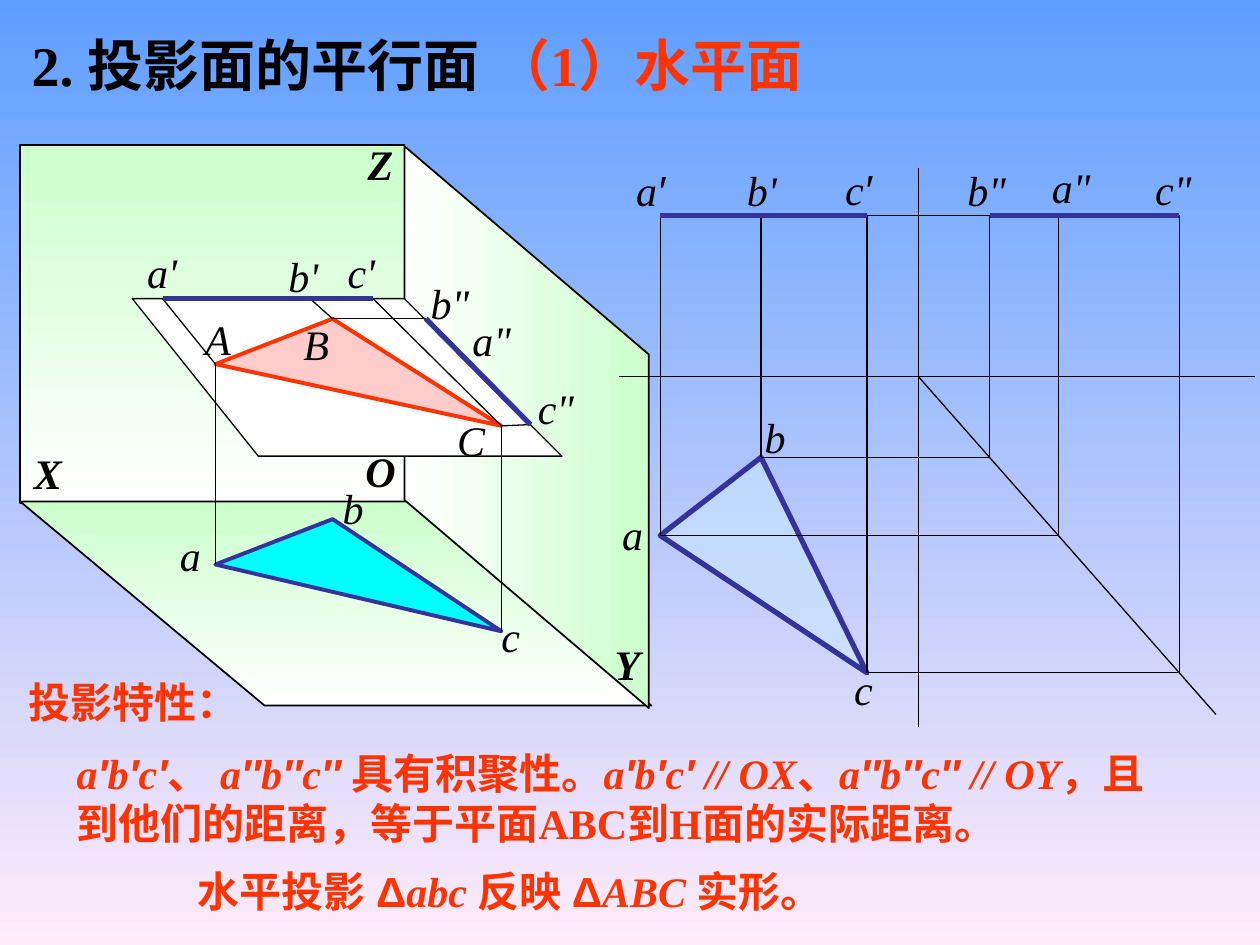
from itertools import groupby

from lxml import etree
from pptx import Presentation
from pptx.dml.color import RGBColor
from pptx.enum.shapes import MSO_CONNECTOR, MSO_SHAPE
from pptx.enum.text import MSO_ANCHOR, MSO_AUTO_SIZE, PP_ALIGN
from pptx.oxml.ns import qn
from pptx.util import Inches, Pt

STRAIGHT = MSO_CONNECTOR.STRAIGHT
RECTANGLE = MSO_SHAPE.RECTANGLE
PARALLELOGRAM = MSO_SHAPE.PARALLELOGRAM
MIDDLE, TOP = MSO_ANCHOR.MIDDLE, MSO_ANCHOR.TOP
NO_FIT, GROW = MSO_AUTO_SIZE.NONE, MSO_AUTO_SIZE.SHAPE_TO_FIT_TEXT
LEFT, CENTER = PP_ALIGN.LEFT, PP_ALIGN.CENTER

COLORS = {"black": "000000", "white": "FFFFFF", "red": "FF3300", "navy": "333399",
          "green": "CCFFCC", "pink": "FFCCCC", "cyan": "00FFFF", "pale": "CCECFF",
          "sky": "5E9EFF", "blush": "FFEBFA"}


def rgb(name):
    return RGBColor.from_string(COLORS[name])


def font_for(character):
    if character in "′″Δ":
        return "Arial"
    return "Noto Sans CJK SC" if ord(character) > 0x2E7F else "Times New Roman"


def add_text(paragraph, text, size=24, color="black", bold=False, italic=False):
    for name, characters in groupby(text, font_for):
        run = paragraph.add_run()
        run.text = "".join(characters)
        font = run.font
        font.name, font.size, font.bold, font.italic = name, Pt(size), bold, italic
        font.color.rgb = rgb(color)
        east_asian = etree.SubElement(font._element, qn("a:ea"))
        east_asian.set("typeface", name)


def add_text_box(shapes, left, top, width, height=0.5, align=LEFT):
    box = shapes.add_textbox(Inches(left), Inches(top), Inches(width), Inches(height))
    frame = box.text_frame
    frame.word_wrap, frame.auto_size, frame.vertical_anchor = True, GROW, TOP
    frame.paragraphs[0].alignment = align
    return frame.paragraphs[0]


def add_labels(shapes, left, top, labels, bold=False, align=LEFT):
    for text, x, y, width in labels:
        paragraph = add_text_box(shapes, left + x, top + y, width, align=align)
        add_text(paragraph, text, bold=bold, italic=True)


def set_gradient(fill, start, end, angle):
    fill.gradient()
    fill.gradient_angle = angle
    for stop, color in zip(fill.gradient_stops, (start, end)):
        stop.color.rgb = rgb(color)


def set_outline(shape, color, width):
    shape.line.color.rgb = rgb(color)
    shape.line.width = Pt(width)


def add_wall(shapes, kind, left, top, width, height, angle):
    wall = shapes.add_shape(kind, Inches(left), Inches(top), Inches(width), Inches(height))
    wall.shadow.inherit = False
    set_gradient(wall.fill, "green", "white", angle)
    set_outline(wall, "black", 1)
    return wall


def add_polygon(shapes, left, top, points, fill, line, width):
    corners = [(Inches(left + x), Inches(top + y)) for x, y in points]
    builder = shapes.build_freeform(*corners[0], scale=1.0)
    builder.add_line_segments(corners[1:], close=True)
    polygon = builder.convert_to_shape()
    polygon.shadow.inherit = False
    polygon.fill.solid()
    polygon.fill.fore_color.rgb = rgb(fill)
    set_outline(polygon, line, width)
    return polygon


def add_lines(shapes, left, top, segments, color="black", width=0.75):
    for (x1, y1), (x2, y2) in segments:
        line = shapes.add_connector(STRAIGHT, Inches(left + x1), Inches(top + y1),
                                    Inches(left + x2), Inches(top + y2))
        set_outline(line, color, width)
        etree.SubElement(line._element.spPr, qn("a:effectLst"))


def add_title(slide, left, top, width, height):
    title = slide.shapes.title
    title.left, title.top = Inches(left), Inches(top)
    title.width, title.height = Inches(width), Inches(height)
    frame = title.text_frame
    frame.word_wrap, frame.auto_size, frame.vertical_anchor = True, NO_FIT, MIDDLE
    paragraph = frame.paragraphs[0]
    paragraph.alignment = LEFT
    add_text(paragraph, "2. 投影面的平行面 ", 32, bold=True)
    add_text(paragraph, "（1）水平面", 32, "red", bold=True)


def add_projection_planes(slide, left, top):
    shapes = slide.shapes.add_group_shape().shapes
    add_wall(shapes, RECTANGLE, left, top, 3.05, 2.84, 270)
    floor = add_wall(shapes, PARALLELOGRAM, left, top + 2.83, 5.01, 1.62, 270)
    floor.adjustments[0] = 1.198
    floor._element.spPr.xfrm.set("flipH", "1")
    side = add_wall(shapes, PARALLELOGRAM, left + 1.79, top + 1.27, 4.46, 1.94, 90)
    side.adjustments[0] = 0.852
    side.rotation = 270
    add_labels(shapes, left, top, [("O", 2.52, 2.34, 0.68), ("X", -0.12, 2.35, 0.68),
                                   ("Z", 2.52, -0.1, 0.68), ("Y", 4.48, 3.87, 0.68)],
               bold=True, align=CENTER)


def add_space_triangle(slide, left, top):
    space = [(1.55, 1.74), (3.82, 2.23), (2.48, 1.38)]
    plan = [(1.55, 3.33), (3.82, 3.86), (2.48, 2.97)]
    space_a, space_c, space_b = space
    front_a, front_b, front_c = (1.13, 1.22), (2.3, 1.22), (2.8, 1.22)
    side_b, side_c = (3.22, 1.38), (4.05, 2.22)
    sheet = [(0.89, 1.22), (3.05, 1.22), (4.3, 2.47), (1.89, 2.47)]

    add_polygon(slide.shapes, left, top, sheet, "white", "black", 0.75)
    shapes = slide.shapes.add_group_shape().shapes
    add_polygon(shapes, left, top, space, "pink", "red", 2.25)
    add_polygon(shapes, left, top, plan, "cyan", "navy", 2.25)
    add_lines(shapes, left, top, [
        (space_a, plan[0]), (space_c, plan[1]), (space_a, front_a), (space_b, front_b),
        (space_c, front_c), (space_b, side_b), (space_c, side_c)])
    add_lines(shapes, left, top, [(front_a, front_c), (side_b, side_c)], "navy", 3)
    add_labels(shapes, left, top, [
        ("A", 1.37, 1.29, 0.67), ("B", 2.15, 1.33, 0.75), ("C", 3.37, 2.09, 0.75),
        ("a", 1.17, 3, 0.33), ("b", 2.46, 2.63, 0.42), ("c", 3.72, 3.65, 0.41),
        ("a'", 0.91, 0.76, 0.67), ("b'", 2.03, 0.79, 0.82), ("c'", 2.5, 0.76, 0.75),
        ('a"', 3.49, 1.3, 0.67), ('b"', 3.16, 1, 0.67), ('c"', 4.01, 1.84, 0.75)])


def add_three_views(slide, left, top, width, height):
    shapes = slide.shapes.add_group_shape().shapes
    axis_x, axis_y, front_y = 2.38, 1.66, 0.38
    diagonal_end = (4.74, 4.34)
    slope = (diagonal_end[1] - axis_y) / (diagonal_end[0] - axis_x)
    plan = [(0.33, 2.92), (1.13, 2.3), (1.97, 4.01)]
    side_a, side_b, side_c = [axis_x + (y - axis_y) / slope for x, y in plan]

    triangle = add_polygon(shapes, left, top, plan, "pale", "navy", 3)
    color = triangle._element.spPr.find(qn("a:solidFill"))[0]
    etree.SubElement(color, qn("a:alpha")).set("val", "50000")
    add_lines(shapes, left, top, [((axis_x, 0), (axis_x, height)),
                                  ((0, axis_y), (width, axis_y)),
                                  ((axis_x, axis_y), diagonal_end)])
    for (x, y), side_x in zip(plan, (side_a, side_b, side_c)):
        route = [(x, front_y), (x, y), (side_x, y), (side_x, front_y)]
        add_lines(shapes, left, top, zip(route, route[1:]))
    front_a, front_c = plan[0][0], plan[2][0]
    add_lines(shapes, left, top, [((front_c, front_y), (side_b, front_y))])
    add_lines(shapes, left, top, [((front_a, front_y), (front_c, front_y)),
                                  ((side_b, front_y), (side_c, front_y))], "navy", 3)
    add_labels(shapes, left, top, [
        ("a", -0.07, 2.66, 0.44), ("b", 1.06, 1.89, 0.54), ("c", 1.77, 3.89, 0.58),
        ("a′", 0.04, -0.07, 0.72), ("b'", 0.92, -0.07, 0.69), ("c′", 1.7, -0.08, 0.58),
        ('a"', 3.34, -0.1, 0.92), ('b"', 2.67, -0.07, 0.67), ('c"', 4.16, -0.08, 0.87)])


def add_properties(slide, left, top):
    heading = [("投影特性：", False)]
    distances = [("a′b′c′", True), ("、 ", False), ("a″b″c″ ", True),
                 ("具有积聚性。", False), ("a′b′c′ // OX", True), ("、", False),
                 ("a″b″c″ // OY", True),
                 ("，且到他们的距离，等于平面ABC到H面的实际距离。", False)]
    true_shape = [("水平投影 Δ", False), ("abc ", True), ("反映 Δ", False),
                  ("ABC ", True), ("实形。", False)]
    for x, y, width, height, parts in [(0, 0, 2.03, 0.5, heading),
                                       (0.38, 0.56, 8.98, 0.9, distances),
                                       (1.34, 1.5, 6.6, 0.5, true_shape)]:
        paragraph = add_text_box(slide.shapes, left + x, top + y, width, height)
        for text, italic in parts:
            add_text(paragraph, text, color="red", bold=True, italic=italic)


def main():
    presentation = Presentation()
    presentation.slide_width, presentation.slide_height = Inches(10), Inches(7.5)
    slide = presentation.slides.add_slide(presentation.slide_layouts[5])
    set_gradient(slide.background.fill, "sky", "blush", 270)
    add_projection_planes(slide, 0.16, 1.15)
    add_title(slide, 0.15, 0.17, 7.69, 0.67)
    add_space_triangle(slide, 0.16, 1.15)
    add_three_views(slide, 4.91, 1.33, 5.05, 4.44)
    add_properties(slide, 0.13, 5.32)
    presentation.save("out.pptx")


if __name__ == "__main__":
    main()
